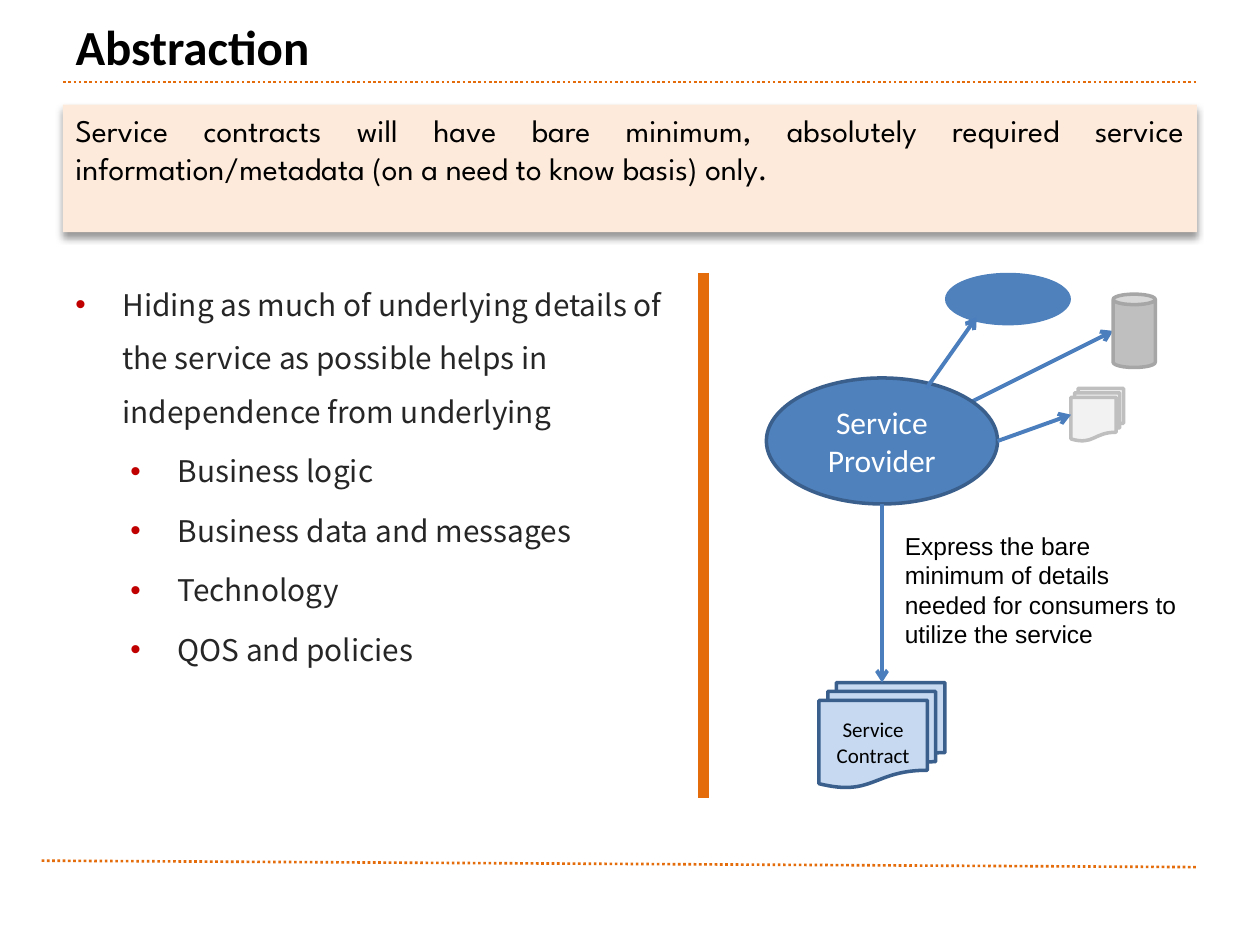
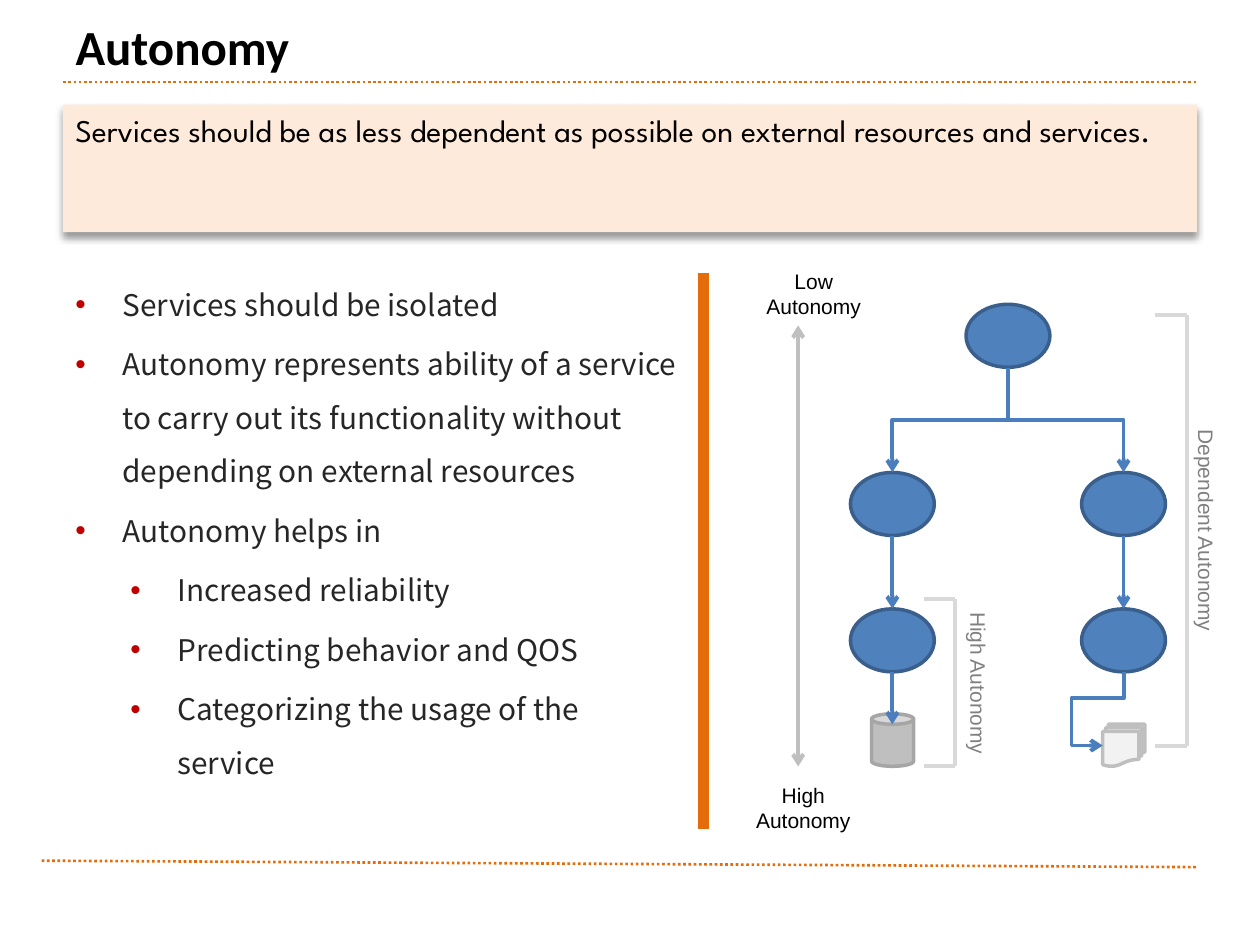
from dataclasses import dataclass

from lxml import etree
from pptx import Presentation
from pptx.dml.color import RGBColor
from pptx.enum.dml import MSO_LINE_DASH_STYLE as DASH
from pptx.enum.shapes import MSO_CONNECTOR_TYPE as LINK, MSO_SHAPE as SHAPE
from pptx.enum.text import MSO_ANCHOR as ANCHOR, PP_ALIGN as ALIGN
from pptx.oxml.ns import qn
from pptx.util import Cm, Pt


@dataclass(frozen=True)
class Theme:
    orange: str = "E46C0A"
    peach: str = "FDEADA"
    blue: str = "4F81BD"
    navy: str = "3A5F8C"
    link: str = "4B7EBC"
    pale_blue: str = "C6D9F1"
    bullet: str = "C00000"
    ink: str = "262626"
    black: str = "000000"
    white: str = "FFFFFF"
    gray: str = "808080"
    silver: str = "BFBFBF"
    steel: str = "A6A6A6"
    mist: str = "F2F2F2"
    bracket: str = "D9D9D9"
    heading_font: str = "Calibri"
    banner_font: str = "League Spartan"
    body_font: str = "Noto Sans CJK KR"
    label_font: str = "Arial"
    title_size: int = 28
    large: int = 18
    body: int = 17
    note: int = 14
    small: int = 12


T = Theme()


def rgb(color):
    return RGBColor.from_string(color)


def child(parent, tag, **attrs):
    return etree.SubElement(parent, qn(tag), {k: str(v) for k, v in attrs.items()})


def write(tf, text, font, size, color, align=ALIGN.LEFT, anchor=ANCHOR.TOP, bold=False):
    tf.word_wrap = True
    tf.vertical_anchor = anchor
    tf.text = text
    for p in tf.paragraphs:
        p.alignment = align
        for r in p.runs:
            r.font.name = font
            r.font.size = Pt(size)
            r.font.bold = bold
            r.font.color.rgb = rgb(color)


def add_label(s, text, x, y, w, h, size=T.small, color=T.black, align=ALIGN.CENTER, angle=0):
    sp = s.shapes.add_textbox(Cm(x), Cm(y), Cm(w), Cm(h))
    sp.rotation = angle
    write(sp.text_frame, text, T.label_font, size, color, align)


def add_figure(s, kind, x, y, w, h, fill, outline=None):
    sp = s.shapes.add_shape(kind, Cm(x), Cm(y), Cm(w), Cm(h))
    sp.shadow.inherit = False
    sp.fill.solid()
    sp.fill.fore_color.rgb = rgb(fill)
    if outline:
        sp.line.color.rgb = rgb(outline)
        sp.line.width = Pt(2)
    else:
        sp.line.fill.background()
    return sp


def add_node(s, cx, cy, w=1.69, h=1.27):
    return add_figure(s, SHAPE.OVAL, cx - w / 2, cy - h / 2, w, h, T.blue, T.navy)


def add_database(s, x, y, w, h):
    add_figure(s, SHAPE.CAN, x, y, w, h, T.silver, T.steel)


def add_documents(s, x, y, size):
    add_figure(s, SHAPE.FLOWCHART_MULTIDOCUMENT, x, y, size, size, T.mist, T.silver)


def add_line(s, x1, y1, x2, y2, color=T.link, width=2.25, ends=(), kind=LINK.STRAIGHT):
    c = s.shapes.add_connector(kind, Cm(x1), Cm(y1), Cm(x2), Cm(y2))
    c.line.color.rgb = rgb(color)
    c.line.width = Pt(width)
    ln = c.line._get_or_add_ln()
    for end in ends:
        child(ln, end, type="arrow")
    child(c._element.spPr, "a:effectLst")
    return c


def add_arrow(s, x1, y1, x2, y2, **options):
    return add_line(s, x1, y1, x2, y2, ends=["a:tailEnd"], **options)


def add_elbow(s, x1, y1, x2, y2, preset="bentConnector3", adjust=()):
    c = add_arrow(s, x1, y1, x2, y2, kind=LINK.ELBOW)
    w, h = abs(y2 - y1), abs(x2 - x1)
    c.left, c.top = Cm((x1 + x2 - w) / 2), Cm((y1 + y2 - h) / 2)
    c.width, c.height = Cm(w), Cm(h)
    xfrm = c._element.spPr.xfrm
    xfrm.attrib.pop("flipH", None)
    xfrm.set("rot", "5400000" if x2 < x1 else "16200000")
    if x2 > x1:
        xfrm.set("flipH", "1")
    geom = c._element.spPr.find(qn("a:prstGeom"))
    geom.set("prst", preset)
    guides = geom.find(qn("a:avLst"))
    for i, value in enumerate(adjust, 1):
        child(guides, "a:gd", name=f"adj{i}", fmla=f"val {value}")


def add_bracket(s, x, top, bottom, tick=0.64):
    add_line(s, x, top, x, bottom, T.bracket)
    for y in (top, bottom):
        add_line(s, x, y, x - tick, y, T.bracket)


def add_banner(s, text):
    sp = add_figure(s, SHAPE.RECTANGLE, 1.27, 2.11, 22.86, 2.57, T.peach)
    effects = sp._element.spPr.find(qn("a:effectLst"))
    shadow = child(effects, "a:outerShdw", blurRad=Pt(4), dist=Pt(3), dir=5400000, rotWithShape=0)
    child(child(shadow, "a:srgbClr", val=T.black), "a:alpha", val=40000)
    write(sp.text_frame, text, T.banner_font, T.large, T.black, ALIGN.JUSTIFY)


def add_bullets(s, items):
    sp = s.shapes.add_textbox(Cm(1.27), Cm(5.29), Cm(12.7), Cm(11))
    tf = sp.text_frame
    tf.text = "\n".join(text for _, text in items)
    for i, (p, (level, _)) in enumerate(zip(tf.paragraphs, items)):
        pPr = p._p.get_or_add_pPr()
        pPr.set("marL", str(Cm((0.95, 2.06)[level])))
        pPr.set("indent", str(Cm(-0.95)))
        child(child(pPr, "a:buClr"), "a:srgbClr", val=T.bullet)
        child(pPr, "a:buFont", typeface=T.label_font)
        child(pPr, "a:buChar", char="•")
        p.level = level
        p.line_spacing = 1.5
        if i:
            p.space_before = Pt(T.body * 0.2)
        r = p.runs[0]
        r.font.name = T.body_font
        r.font.size = Pt(T.body)
        r.font.color.rgb = rgb(T.ink)
    tf.word_wrap = True


def add_principle(prs, title, summary, bullets, divider_bottom):
    s = prs.slides.add_slide(prs.slide_layouts[5])
    for ends in ((1.27, 1.65, 24.13, 1.65), (0.84, 17.35, 24.13, 17.48)):
        add_line(s, *ends, T.orange, 1.5).line.dash_style = DASH.ROUND_DOT
    sp = s.shapes.title
    sp.left, sp.top, sp.width, sp.height = Cm(1.27), Cm(0.15), Cm(22.86), Cm(1.57)
    write(sp.text_frame, title, T.heading_font, T.title_size, T.black, anchor=ANCHOR.MIDDLE, bold=True)
    add_bullets(s, bullets)
    add_banner(s, summary)
    add_line(s, 14.18, 5.5, 14.18, divider_bottom, T.orange, 6)
    return s


def draw_provider(s):
    add_arrow(s, 18.84, 8.47, 22.44, 6.67)
    contract = add_figure(s, SHAPE.FLOWCHART_MULTIDOCUMENT, 16.51, 13.76, 2.54, 2.12,
                          T.pale_blue, T.navy)
    write(contract.text_frame, "Service Contract", T.heading_font, T.small, T.black,
          ALIGN.CENTER, ANCHOR.MIDDLE)
    provider = add_node(s, 17.78, 8.89, 4.66, 2.54)
    write(provider.text_frame, "Service Provider", T.heading_font, T.large, T.white,
          ALIGN.CENTER, ANCHOR.MIDDLE)
    add_label(s, "Express the bare minimum of details needed for consumers to utilize the service",
              17.99, 10.58, 6.35, 2.64, T.note, align=ALIGN.LEFT)
    add_arrow(s, 17.78, 10.16, 17.78, 13.76)
    add_figure(s, SHAPE.OVAL, 19.05, 5.5, 2.54, 1.06, T.blue)
    add_database(s, 22.44, 5.93, 0.85, 1.48)
    add_documents(s, 21.59, 7.83, 1.06)
    add_arrow(s, 20.11, 8.89, 21.59, 8.36)
    add_arrow(s, 18.68, 7.82, 19.69, 6.39)


def draw_autonomy_tree(s):
    root_x, root_y, radius = 20.32, 6.77, 0.64
    left, right = 17.99, 22.65
    upper, lower = 10.16, 12.91
    add_node(s, root_x, root_y)
    add_database(s, left - 0.42, 14.39, 0.85, 1.06)
    add_documents(s, 22.23, 14.6, 0.85)
    for x in (left, right):
        add_node(s, x, upper)
        add_node(s, x, lower)
        add_elbow(s, root_x, root_y + radius, x, upper - radius)
        add_arrow(s, x, upper + radius, x, lower - radius)
    add_arrow(s, left, lower + radius, left, 14.6)
    add_elbow(s, right, lower + radius, 22.23, 15.03, "bentConnector4", (35700, 250000))

    add_line(s, 16.09, 6.56, 16.09, 15.45, T.silver, ends=["a:headEnd", "a:tailEnd"])
    add_label(s, "Low\nAutonomy", 15.03, 5.29, 2.75, 1.27)
    add_label(s, "High\nAutonomy", 14.82, 15.65, 2.75, 1.27)
    add_bracket(s, 23.92, 6.35, 15.03)
    add_label(s, "Dependent Autonomy", 21.67, 10.31, 5.29, 0.77, color=T.gray, angle=90)
    add_bracket(s, 19.26, 12.07, 15.45)
    add_label(s, "High Autonomy", 18.03, 13.39, 3.39, 0.77, color=T.gray, angle=90)


def main():
    prs = Presentation()
    prs.slide_width, prs.slide_height = Cm(25.4), Cm(19.05)
    draw_provider(add_principle(
        prs, "Abstraction",
        "Service contracts will have bare minimum, absolutely required service "
        "information/metadata (on a need to know basis) only.",
        [(0, "Hiding as much of underlying details of the service as possible helps in "
             "independence from underlying"),
         (1, "Business logic"),
         (1, "Business data and messages"),
         (1, "Technology"),
         (1, "QOS and policies")],
        16.08))
    draw_autonomy_tree(add_principle(
        prs, "Autonomy",
        "Services should be as less dependent as possible on external resources and services.",
        [(0, "Services should be isolated"),
         (0, "Autonomy represents ability of a service to carry out its functionality "
             "without depending on external resources"),
         (0, "Autonomy helps in"),
         (1, "Increased reliability"),
         (1, "Predicting behavior and QOS"),
         (1, "Categorizing the usage of the service")],
        16.72))
    prs.save("out.pptx")


if __name__ == "__main__":
    main()
